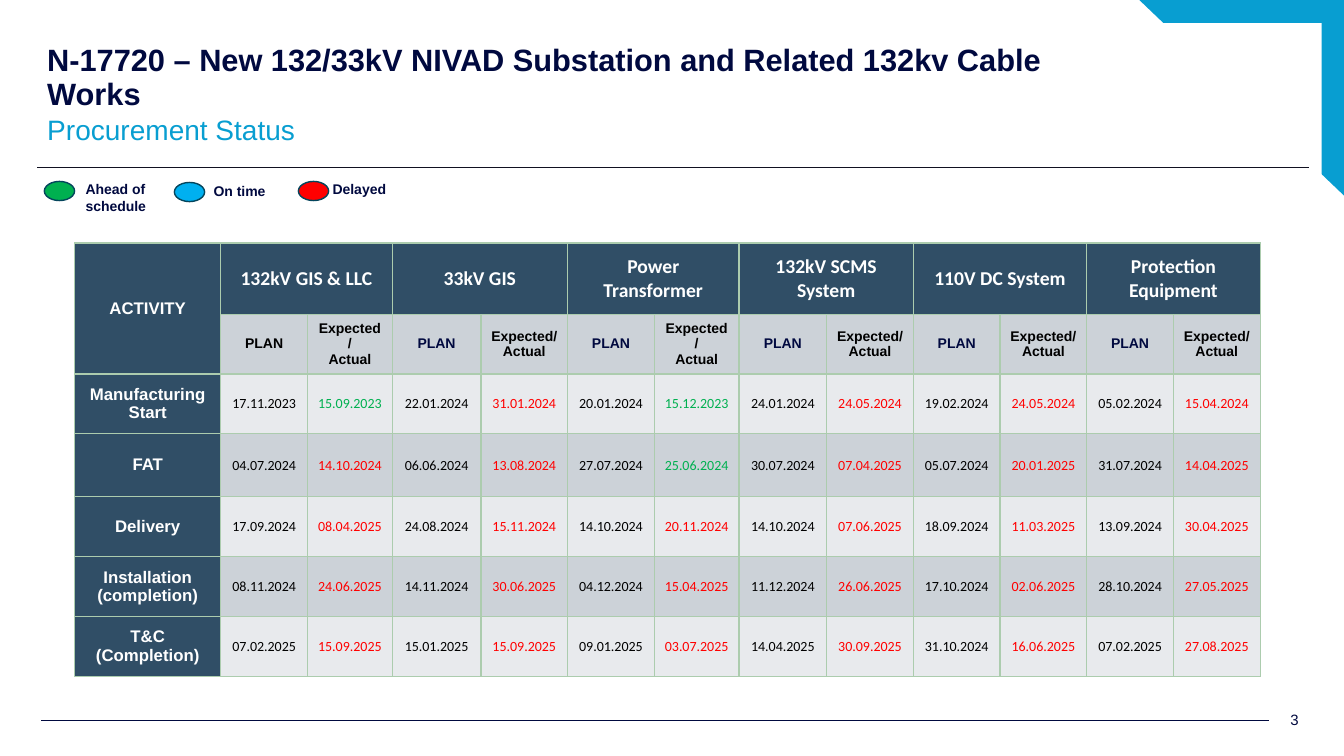
from lxml.etree import SubElement
from pptx import Presentation
from pptx.dml.color import RGBColor
from pptx.enum.shapes import MSO_CONNECTOR, MSO_SHAPE
from pptx.enum.text import MSO_ANCHOR, PP_ALIGN
from pptx.oxml.ns import qn
from pptx.util import Inches, Pt

COLORS = {
    "navy": "00093F", "sky": "089ED1", "white": "FFFFFF", "black": "000000",
    "rule": "111121", "header": "304E66", "light": "E8EAED", "dark": "CCD2D8",
    "border": "ACCCAE", "outline": "04455C",
    "ahead": "00B050", "on_time": "00B0F0", "delayed": "FF0000",
}
COL_WIDTHS = [1.45, 0.86, 0.84, 0.88, 0.86, 0.86, 0.84, 0.87] + [0.86] * 5
ROW_HEIGHTS = [0.71, 0.59, 0.59, 0.63, 0.59, 0.6, 0.59]
EQUIPMENT = ["132kV GIS & LLC", "33kV GIS", "Power Transformer",
             "132kV SCMS System", "110V DC System", "Protection Equipment"]
SCHEDULE = [
    ("Manufacturing Start",
     "17.11.2023 15.09.2023 22.01.2024 31.01.2024 20.01.2024 15.12.2023 "
     "24.01.2024 24.05.2024 19.02.2024 24.05.2024 05.02.2024 15.04.2024"),
    ("FAT",
     "04.07.2024 14.10.2024 06.06.2024 13.08.2024 27.07.2024 25.06.2024 "
     "30.07.2024 07.04.2025 05.07.2024 20.01.2025 31.07.2024 14.04.2025"),
    ("Delivery",
     "17.09.2024 08.04.2025 24.08.2024 15.11.2024 14.10.2024 20.11.2024 "
     "14.10.2024 07.06.2025 18.09.2024 11.03.2025 13.09.2024 30.04.2025"),
    ("Installation (completion)",
     "08.11.2024 24.06.2025 14.11.2024 30.06.2025 04.12.2024 15.04.2025 "
     "11.12.2024 26.06.2025 17.10.2024 02.06.2025 28.10.2024 27.05.2025"),
    ("T&C (Completion)",
     "07.02.2025 15.09.2025 15.01.2025 15.09.2025 09.01.2025 03.07.2025 "
     "14.04.2025 30.09.2025 31.10.2024 16.06.2025 07.02.2025 27.08.2025"),
]
LEGEND = [
    ("Ahead of schedule", "ahead", 0.44, 1.8, 0.75, 1.74, 0.89, 0.44),
    ("On time", "on_time", 1.73, 1.81, 2.02, 1.76, 0.73, 0.27),
    ("Delayed", "delayed", 2.96, 1.8, 3.2, 1.74, 1.14, 0.27),
]


def rgb(name):
    return RGBColor.from_string(COLORS[name])


def date_key(text):
    return text.split(".")[::-1]


class SlideBuilder:
    def __init__(self, slide):
        self.slide = slide
        self.font = "Arial"

    def format_text(self, tf, text, size, color, bold=False, font=None,
                    align=PP_ALIGN.LEFT, spacing=None, after=0):
        tf.text = text
        for p in tf.paragraphs:
            p.alignment = align
            p.space_after = Pt(after)
            if spacing:
                p.line_spacing = spacing
            for r in p.runs:
                r.font.size = Pt(size)
                r.font.name = font or self.font
                r.font.bold = bold
                r.font.color.rgb = rgb(color)

    def text(self, text, x, y, w, h, size, color, anchor=MSO_ANCHOR.TOP, **style):
        tb = self.slide.shapes.add_textbox(Inches(x), Inches(y), Inches(w), Inches(h))
        tf = tb.text_frame
        tf.word_wrap = True
        tf.vertical_anchor = anchor
        self.format_text(tf, text, size, color, **style)

    def paint(self, sp, fill, line=None):
        sp.shadow.inherit = False
        sp.fill.solid()
        sp.fill.fore_color.rgb = rgb(fill)
        if line:
            sp.line.color.rgb = rgb(line)
            sp.line.width = Pt(1)
        else:
            sp.line.fill.background()

    def shape(self, kind, x, y, w, h, fill, line=None):
        sp = self.slide.shapes.add_shape(kind, Inches(x), Inches(y), Inches(w), Inches(h))
        self.paint(sp, fill, line)

    def polygon(self, points, fill):
        start, *rest = [(Inches(x), Inches(y)) for x, y in points]
        fb = self.slide.shapes.build_freeform(*start)
        fb.add_line_segments(rest, close=True)
        self.paint(fb.convert_to_shape(), fill)

    def rule(self, x1, x2, y, color):
        line = self.slide.shapes.add_connector(
            MSO_CONNECTOR.STRAIGHT, Inches(x1), Inches(y), Inches(x2), Inches(y))
        line.line.color.rgb = rgb(color)
        line.line.width = Pt(0.25)
        SubElement(line._element.spPr, qn("a:effectLst"))

    def table(self, x, y, widths, heights):
        frame = self.slide.shapes.add_table(
            len(heights), len(widths), Inches(x), Inches(y),
            Inches(sum(widths)), Inches(sum(heights)))
        table = frame.table
        table.first_row = table.horz_banding = False
        for col, w in zip(table.columns, widths):
            col.width = Inches(w)
        for row, h in zip(table.rows, heights):
            row.height = Inches(h)
        for cell in table.iter_cells():
            self.borders(cell)
        return table

    def borders(self, cell):
        tc_pr = cell._tc.get_or_add_tcPr()
        for side in ("a:lnL", "a:lnR", "a:lnT", "a:lnB"):
            ln = SubElement(tc_pr, qn(side), w=str(Pt(1)))
            fill = SubElement(ln, qn("a:solidFill"))
            SubElement(fill, qn("a:srgbClr"), val=COLORS["border"])

    def cell(self, cell, text, fill, size, color, side=0.1, top=0, **style):
        cell.fill.solid()
        cell.fill.fore_color.rgb = rgb(fill)
        cell.vertical_anchor = MSO_ANCHOR.MIDDLE
        cell.margin_left = cell.margin_right = Inches(side)
        cell.margin_top, cell.margin_bottom = Inches(top), 0
        self.format_text(cell.text_frame, text, size, color,
                         align=PP_ALIGN.CENTER, **style)


def add_schedule(b):
    table = b.table(0.74, 2.41, COL_WIDTHS, ROW_HEIGHTS)
    table.cell(0, 0).merge(table.cell(1, 0))
    b.cell(table.cell(0, 0), "ACTIVITY", "header", 12, "white", bold=True)
    for i, name in enumerate(EQUIPMENT):
        plan = 2 * i + 1
        table.cell(0, plan).merge(table.cell(0, plan + 1))
        b.cell(table.cell(0, plan), name, "header", 14, "white", bold=True, font="Calibri")
        b.cell(table.cell(1, plan), "PLAN", "dark", 10, "navy" if i else "black", bold=True)
        b.cell(table.cell(1, plan + 1), "Expected/\nActual", "dark", 10, "black", bold=True)
    for row, (activity, dates) in enumerate(SCHEDULE, 2):
        b.cell(table.cell(row, 0), activity, "header", 12, "white", bold=True)
        dates = dates.split()
        fill = "dark" if row % 2 else "light"
        for col, day in enumerate(dates, 1):
            if col % 2:
                color = "black"
            else:
                early = date_key(day) < date_key(dates[col - 2])
                color = "ahead" if early else "delayed"
            b.cell(table.cell(row, col), day, fill, 10, color,
                   side=0.01, top=0.01, font="Calibri")


def main():
    prs = Presentation()
    prs.slide_width, prs.slide_height = Inches(13.33), Inches(7.5)
    b = SlideBuilder(prs.slides.add_slide(prs.slide_layouts[6]))

    b.polygon([(11.3, 0), (13.33, 0), (13.33, 1.94)], "sky")
    b.shape(MSO_SHAPE.RECTANGLE, 11.08, 0.23, 2.03, 1.94, "white")
    b.rule(0.37, 12.98, 1.66, "rule")
    b.rule(0.41, 12.59, 7.14, "navy")
    b.text("3", 12.59, 6.94, 0.5, 0.4, 10.7, "navy", MSO_ANCHOR.MIDDLE,
           align=PP_ALIGN.CENTER, after=8)
    b.text("Procurement Status", 0.37, 1.06, 10.95, 0.49, 20, "sky",
           MSO_ANCHOR.MIDDLE, spacing=0.9, after=8)
    add_schedule(b)
    for label, color, x, y, tx, ty, w, h in LEGEND:
        b.shape(MSO_SHAPE.OVAL, x, y, 0.3, 0.19, color, "outline")
        b.text(label, tx, ty, w, h, 10, "navy", bold=True)
    b.text("N-17720 – New 132/33kV NIVAD Substation and Related 132kv Cable Works",
           0.37, 0.4, 10.95, 0.49, 22, "navy", bold=True, spacing=0.9)
    prs.save("out.pptx")


if __name__ == "__main__":
    main()
